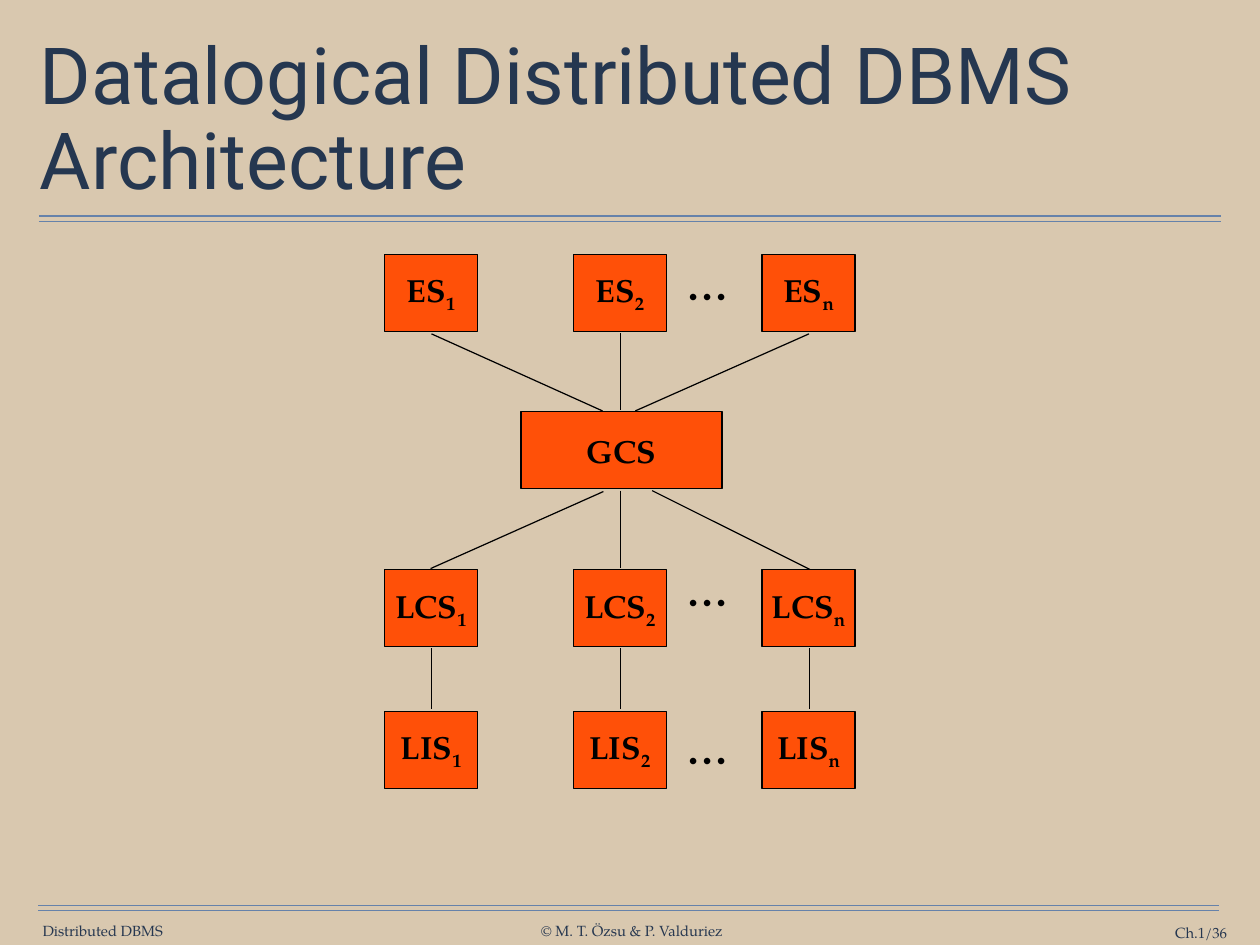
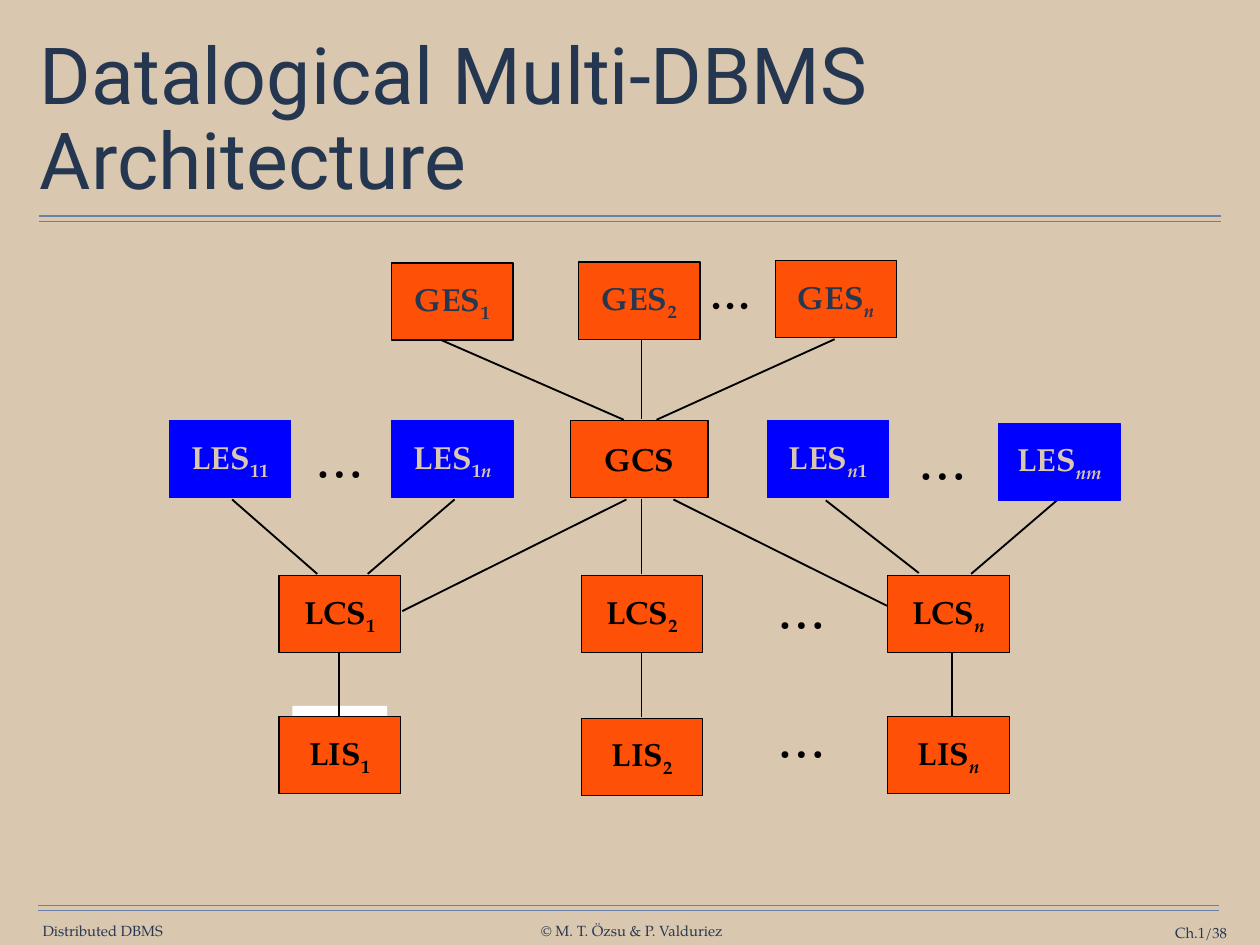
from itertools import groupby

from lxml import etree
from pptx import Presentation
from pptx.dml.color import RGBColor
from pptx.enum.shapes import MSO_CONNECTOR, MSO_SHAPE
from pptx.enum.text import MSO_ANCHOR, MSO_AUTO_SIZE, PP_ALIGN
from pptx.oxml.ns import qn
from pptx.util import Inches, Pt

LEFT, CENTER, RIGHT = PP_ALIGN.LEFT, PP_ALIGN.CENTER, PP_ALIGN.RIGHT
TOP, MIDDLE = MSO_ANCHOR.TOP, MSO_ANCHOR.MIDDLE
NO_RESIZE = MSO_AUTO_SIZE.NONE
RECTANGLE, STRAIGHT = MSO_SHAPE.RECTANGLE, MSO_CONNECTOR.STRAIGHT

COLORS = {
    "background": "D9C8AF", "title": "253750", "navy": "263750", "rule": "6682AA",
    "orange": "FF5008", "blue": "0000FF", "black": "000000", "white": "FFFFFF",
}
SERIF, SANS = "TeX Gyre Pagella", "Roboto"
TITLE_AREA = (0.39, 0.49, 13.44, 1.76)
RULES = [(0.44, 13.78, 2.44), (0.44, 13.78, 2.5), (0.43, 13.76, 10.22), (0.43, 13.76, 10.28)]
FOOTERS = [
    ("Distributed DBMS", (0.47, 10.41, 1.38, 0.2)),
    ("© M. T. Özsu & P. Valduriez", (6.09, 10.41, 2.08, 0.2)),
]
NUMBER_AREA = (12.31, 10.43, 1.54, 0.2)
BOX_HEIGHT = 0.87
STYLES = {
    "local": ("orange", "black", "black"),
    "global": ("orange", "black", "navy"),
    "external": ("blue", "blue", "background"),
}

COLUMNS = [(subscript, 4.34 + 2.13 * i) for i, subscript in enumerate("12n")]

DIAGRAMS = [
    {
        "title": "Datalogical Distributed DBMS Architecture",
        "number": "Ch.1/36",
        "italic_letters": False,
        "box_width": 1.05,
        "gcs": (5.88, 4.65, 2.27),
        "rows": [
            (name, "local", [(subscript, left, top) for subscript, left in COLUMNS])
            for name, top in [("ES", 2.87), ("LCS", 6.43), ("LIS", 8.03)]
        ],
        "dots": [("...", 7.6, top, 0.77) for top in (2.68, 6.14, 7.92)],
        "patches": [],
        "line_width": 1,
        "lines": [
            (4.87, 3.77, 6.8, 4.64), (7, 3.76, 7, 4.63), (9.13, 3.77, 7.17, 4.64),
            (6.81, 5.55, 4.86, 6.42), (7, 5.54, 7, 6.41), (7.36, 5.54, 9.14, 6.43),
        ] + [(x, 7.32, x, 8.01) for x in (4.87, 7, 9.14)],
    },
    {
        "title": "Datalogical Multi-DBMS Architecture",
        "number": "Ch.1/38",
        "italic_letters": True,
        "box_width": 1.37,
        "gcs": (6.44, 4.75, 1.55),
        "rows": [
            ("GES", "global", [("1", 4.42, 2.97), ("2", 6.53, 2.96), ("n", 8.75, 2.94)]),
            ("LES", "external", [("11", 1.91, 4.75), ("1n", 4.42, 4.75),
                                 ("n1", 8.66, 4.75), ("nm", 11.27, 4.78)]),
            ("LCS", "local", [("1", 3.15, 6.5), ("2", 6.56, 6.5), ("n", 10.02, 6.5)]),
            ("LIS", "local", [("1", 3.15, 8.09), ("2", 6.56, 8.11), ("n", 10.02, 8.09)]),
        ],
        "dots": [
            ("...", 7.86, 2.78, 0.77), ("…", 3.37, 4.69, 0.93), ("…", 10.18, 4.72, 0.93),
            ("…", 8.58, 6.4, 0.93), ("…", 8.58, 7.85, 0.93),
        ],
        "patches": [(3.3, 7.97, 1.07, 0.89)],
        "line_width": 1.5,
        "lines": [
            (4.98, 3.84, 7.04, 4.74), (7.24, 3.76, 7.24, 4.73), (9.42, 3.83, 7.41, 4.74),
            (7.07, 5.64, 4.54, 6.9), (7.24, 5.64, 7.24, 6.48), (7.6, 5.64, 10.01, 6.84),
            (2.62, 5.64, 3.58, 6.48), (5.13, 5.64, 4.15, 6.48),
            (9.32, 5.65, 10.37, 6.47), (11.94, 5.64, 10.96, 6.48),
        ] + [(x, 7.36, x, 8.1) for x in (3.83, 7.24, 10.74)],
    },
]


def color(name):
    return RGBColor.from_string(COLORS[name])


def inches(values):
    return [Inches(value) for value in values]


def apply(target, values):
    for name, value in values.items():
        setattr(target, name, value)


def format_frame(frame, anchor=MIDDLE, wrap=False, margins=(0, 0)):
    horizontal, vertical = inches(margins)
    apply(frame, {
        "auto_size": NO_RESIZE, "word_wrap": wrap, "vertical_anchor": anchor,
        "margin_left": horizontal, "margin_right": horizontal,
        "margin_top": vertical, "margin_bottom": vertical,
    })


def add_run(paragraph, text, size, color_name, font=SERIF, bold=False, italic=False):
    run = paragraph.add_run()
    run.text = text
    apply(run.font, {"name": font, "size": Pt(size), "bold": bold, "italic": italic})
    run.font.color.rgb = color(color_name)
    return run


def add_text(slide, text, area, size, color_name, alignment=CENTER, **frame_format):
    shape = slide.shapes.add_textbox(*inches(area))
    format_frame(shape.text_frame, **frame_format)
    paragraph = shape.text_frame.paragraphs[0]
    paragraph.alignment = alignment
    add_run(paragraph, text, size, color_name)
    return shape


def add_line(slide, points, color_name, width):
    line = slide.shapes.add_connector(STRAIGHT, *inches(points))
    line.line.color.rgb = color(color_name)
    line.line.width = Pt(width)
    etree.SubElement(line.element.spPr, qn("a:effectLst"))
    return line


def add_rectangle(slide, area, fill, outline=None):
    shape = slide.shapes.add_shape(RECTANGLE, *inches(area))
    shape.shadow.inherit = False
    shape.fill.solid()
    shape.fill.fore_color.rgb = color(fill)
    if outline:
        shape.line.color.rgb = color(outline)
        shape.line.width = Pt(1)
    else:
        shape.line.fill.background()
    return shape


def add_box(slide, area, name, subscript, style, italic_letters):
    fill, outline, text_color = STYLES[style]
    shape = add_rectangle(slide, area, fill, outline)
    format_frame(shape.text_frame)
    paragraph = shape.text_frame.paragraphs[0]
    paragraph.alignment = CENTER
    add_run(paragraph, name, 26, text_color, bold=True)
    for is_letter, characters in groupby(subscript, str.isalpha):
        run = add_run(paragraph, "".join(characters), 26, text_color, bold=True,
                      italic=is_letter and italic_letters)
        run.font.element.set("baseline", "-25000") if hasattr(run.font, "element") else \
            run._r.get_or_add_rPr().set("baseline", "-25000")


def share_on_layout(slide):
    shared = [add_line(slide, (start, y, end, y), "rule", 1) for start, end, y in RULES]
    shared += [add_text(slide, text, area, 12, "navy") for text, area in FOOTERS]
    layout = slide.slide_layout
    for shape_id, shape in enumerate(shared, 100):
        shape.element.xpath(".//p:cNvPr")[0].set("id", str(shape_id))
        layout.shapes.element.append(shape.element)


def set_title(slide, text):
    title = slide.shapes.title
    title.left, title.top, title.width, title.height = inches(TITLE_AREA)
    format_frame(title.text_frame, wrap=True, margins=(0.06, 0.06))
    paragraph = title.text_frame.paragraphs[0]
    apply(paragraph, {"alignment": LEFT, "line_spacing": 0.9})
    add_run(paragraph, text, 64, "title", font=SANS)


def build_slide(slide, diagram):
    set_title(slide, diagram["title"])
    add_text(slide, diagram["number"], NUMBER_AREA, 12, "navy", RIGHT, wrap=True)
    for area in diagram["patches"]:
        add_rectangle(slide, area, "white")
    for points in diagram["lines"]:
        add_line(slide, points, "black", diagram["line_width"])
    left, top, width = diagram["gcs"]
    italic = diagram["italic_letters"]
    add_box(slide, (left, top, width, BOX_HEIGHT), "GCS", "", "local", italic)
    for name, style, cells in diagram["rows"]:
        for subscript, left, top in cells:
            area = (left, top, diagram["box_width"], BOX_HEIGHT)
            add_box(slide, area, name, subscript, style, italic)
    for text, left, top, width in diagram["dots"]:
        add_text(slide, text, (left, top, width, 0.91), 46, "black",
                 anchor=TOP, margins=(0.14, 0.07))


def main():
    presentation = Presentation()
    presentation.slide_width, presentation.slide_height = inches((14.22, 10.67))
    background = presentation.slide_master.background.fill
    background.solid()
    background.fore_color.rgb = color("background")
    layout = presentation.slide_layouts.get_by_name("Title Only")
    slides = [presentation.slides.add_slide(layout) for _ in DIAGRAMS]
    share_on_layout(slides[0])
    for slide, diagram in zip(slides, DIAGRAMS):
        build_slide(slide, diagram)
    presentation.save("out.pptx")


if __name__ == "__main__":
    main()
